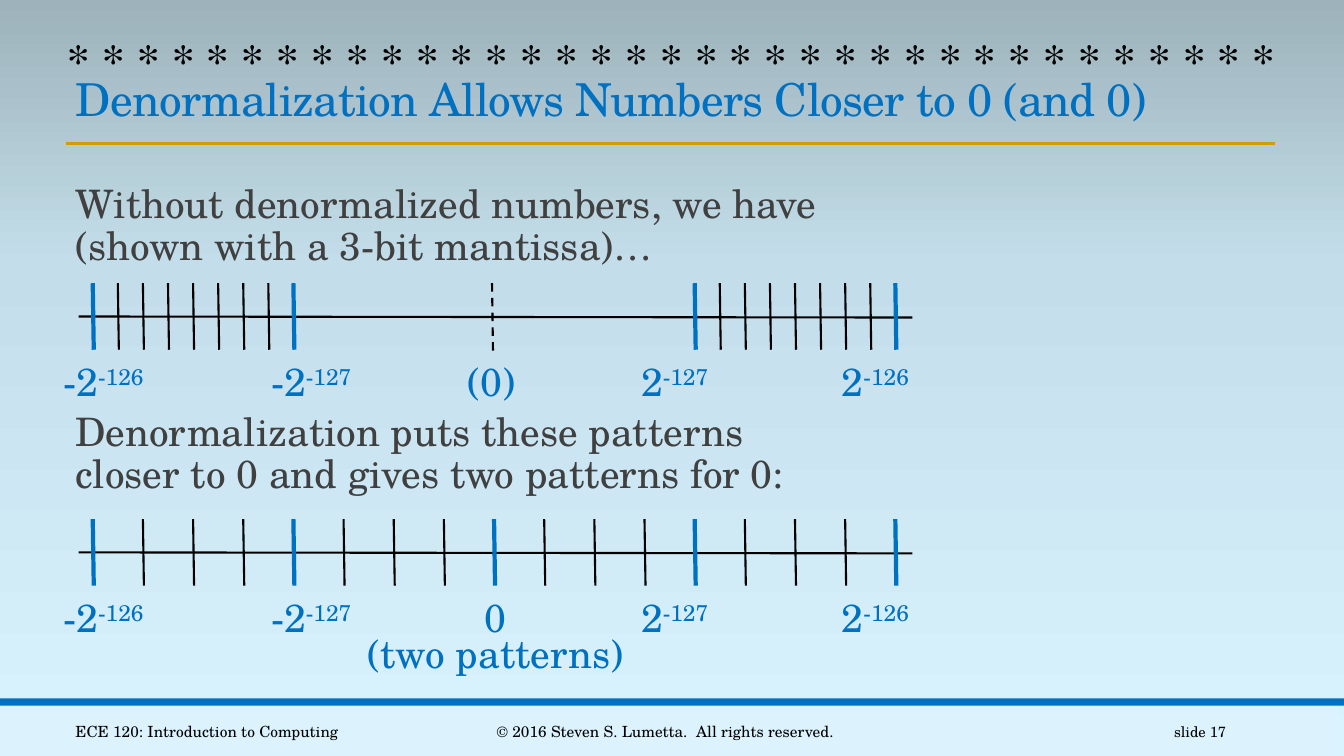
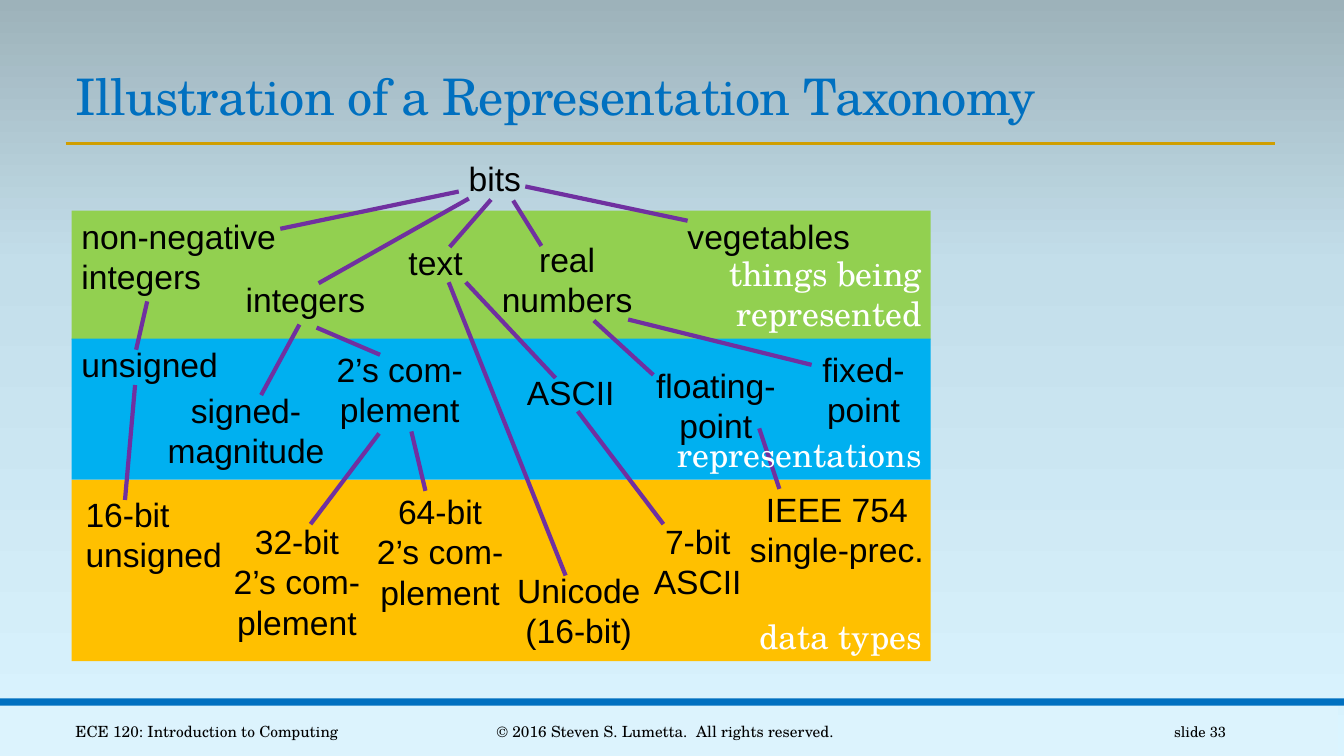
from dataclasses import dataclass

from lxml.etree import SubElement
from pptx import Presentation
from pptx.dml.color import RGBColor
from pptx.enum.dml import MSO_LINE
from pptx.enum.shapes import MSO_CONNECTOR, MSO_SHAPE
from pptx.enum.text import MSO_ANCHOR, MSO_AUTO_SIZE, PP_ALIGN
from pptx.oxml.ns import qn
from pptx.util import Pt

LEFT, CENTER, RIGHT = PP_ALIGN.LEFT, PP_ALIGN.CENTER, PP_ALIGN.RIGHT
PX = 9144  # EMU in one px, 100 px to the inch


@dataclass(frozen=True)
class Theme:
    serif: str = "TeX Gyre Schola"
    sans: str = "Arial"
    blue: str = "0070C0"
    gold: str = "D09E00"
    pale: str = "DCF3FD"
    gray: str = "404040"
    black: str = "000000"
    white: str = "FFFFFF"
    purple: str = "7030A0"
    green: str = "92D050"
    sky: str = "00B0F0"
    amber: str = "FFC000"
    backdrop: tuple = ((0, "DAF4FF"), (65, "C3DEEA"), (100, "9DB2BA"))
    body_size: float = 28
    star_size: float = 32
    node_size: float = 24
    footer_size: float = 11
    number_size: float = 10.5
    thin: float = 1.5
    rule: float = 2
    thick: float = 3


THEME = Theme()

# Shared frame: left, top, width, height
FRAME_BANDS = [((-6, 700, 1333, 50), THEME.pale), ((0, 693, 1333, 7), THEME.blue)]
TITLE_RULE = (65, 142, 1265, 142)
TITLE_BOX = (65, 59, 1201, 71)
FOOTERS = [
    ("ECE 120: Introduction to Computing", (65, 706, 325, 40), LEFT, THEME.footer_size),
    ("© 2016 Steven S. Lumetta.  All rights reserved.", (403, 706, 514, 40), CENTER, THEME.footer_size),
    ("slide {}", (1083, 706, 143, 40), RIGHT, THEME.number_size),
]

# Number lines
NUMBERS_TITLE = "Denormalization Allows Numbers Closer to 0 (and 0)"
STARS = (" ".join("*" * 35), (57, 29, 1241, 64))
STATEMENTS = [
    ("Without denormalized numbers, we have\n(shown with a 3-bit mantissa)…", (65, 178, 852, 95)),
    ("Denormalization puts these patterns\ncloser to 0 and gives two patterns for 0:", (65, 404, 852, 95)),
]
AXIS_LEFT, AXIS_RIGHT = 78, 905
FIRST_TICK, LAST_TICK, TICK_STEPS, MAJOR_STEP = 92, 888, 32, 8
TICK_HEIGHT, AXIS_DROP, LABEL_DROP, LABEL_HEIGHT = 66, 33, 69, 57
POWER_LABELS = [("-2^-126", 53, 108), ("-2^-127", 259, 108), ("2^-127", 626, 95), ("2^-126", 825, 95)]
NUMBER_LINES = [
    {"top": 281, "ticks": [*range(0, 9), *range(24, 33)], "zero": ("(0)", 454, 68)},
    {"top": 515, "ticks": range(0, 33, 2), "zero": ("0", 471, 42)},
]
MISSING_ZERO = (488, 281, 489, 350)
ZERO_NOTE = ("(two patterns)", (353, 619, 277, 57))

# Taxonomy
TAXONOMY_TITLE = "Illustration of a Representation Taxonomy"
LAYER_LEFT, LAYER_WIDTH, LABEL_RIGHT = 71, 852, 924
LAYERS = [  # top, bottom, colour, label, label width
    (209, 337, THEME.green, "things being\nrepresented", 213),
    (336, 476, THEME.sky, "representations", 264),
    (476, 656, THEME.amber, "data types", 189),
]
NODES = [  # text, left, top, width, alignment, branch leading to it
    ("bits", 455, 152, 73, LEFT, None),
    ("non-negative\nintegers", 71, 209, 215, LEFT, (455, 190, 278, 227)),
    ("integers", 233, 272, 140, CENTER, (465, 197, 316, 281)),
    ("text", 395, 235, 74, CENTER, (487, 198, 446, 245)),
    ("real\nnumbers", 487, 232, 151, CENTER, (509, 199, 537, 244)),
    ("vegetables", 671, 209, 183, CENTER, (521, 185, 682, 219)),
    ("unsigned", 71, 336, 157, LEFT, (146, 299, 135, 347)),
    ("signed-\nmagnitude", 155, 382, 178, CENTER, (297, 322, 259, 392)),
    ("2’s com-\nplement", 323, 341, 147, CENTER, (314, 325, 377, 352)),
    ("ASCII", 512, 364, 108, CENTER, (462, 280, 551, 375)),
    ("floating-\npoint", 640, 357, 140, CENTER, (589, 318, 648, 372)),
    ("fixed-\npoint", 805, 341, 103, CENTER, (623, 317, 805, 362)),
    ("16-bit\nunsigned", 75, 485, 157, LEFT, (134, 382, 124, 496)),
    ("32-bit\n2’s com-\nplement", 221, 512, 147, CENTER, (376, 430, 308, 520)),
    ("64-bit\n2’s com-\nplement", 363, 482, 147, CENTER, (408, 428, 422, 487)),
    ("Unicode\n(16-bit)", 502, 560, 144, CENTER, (445, 280, 561, 571)),
    ("7-bit\nASCII", 638, 512, 108, CENTER, (573, 408, 658, 520)),
    ("IEEE 754\nsingle-prec.", 733, 480, 194, CENTER, (753, 425, 773, 485)),
]


def emu(lengths):
    return [round(length * PX) for length in lengths]


def apply(target, values):
    for name, value in values.items():
        setattr(target, name, value)


def format_font(font, size, color, face):
    apply(font, {"size": Pt(size), "name": face, "bold": False})
    font.color.rgb = RGBColor.from_string(color)


def add_text(page, text, place, size, color, face=THEME.serif, align=LEFT,
             anchor=MSO_ANCHOR.TOP, spacing=1.0):
    """Write lines split at newlines; what follows ^ in a line is superscript."""
    frame = page.shapes.add_textbox(*emu(place)).text_frame
    apply(frame, {"word_wrap": False, "auto_size": MSO_AUTO_SIZE.NONE, "vertical_anchor": anchor})
    para = frame.paragraphs[0]
    apply(para, {"alignment": align, "line_spacing": spacing})
    for index, line in enumerate(text.split("\n")):
        if index:
            para.add_line_break()
        for level, part in enumerate(line.split("^")):
            span = para.add_run()
            span.text = part
            format_font(span.font, size, color, face)
            if level:
                span._r.get_or_add_rPr().set("baseline", "30000")


def add_band(page, place, color):
    band = page.shapes.add_shape(MSO_SHAPE.RECTANGLE, *emu(place))
    band.shadow.inherit = False
    band.fill.solid()
    band.fill.fore_color.rgb = RGBColor.from_string(color)
    band.line.fill.background()


def add_line(page, ends, color, width, dash=None):
    connector = page.shapes.add_connector(MSO_CONNECTOR.STRAIGHT, *emu(ends))
    connector.line.color.rgb = RGBColor.from_string(color)
    apply(connector.line, {"width": Pt(width), "dash_style": dash})
    SubElement(connector.element.find(qn("p:spPr")), qn("a:effectLst"))


def paint_backdrop(master):
    fill = master.background.fill
    fill.gradient()
    fill.gradient_angle = 90
    stops = master.element.find(".//" + qn("p:bg")).find(".//" + qn("a:gsLst"))
    for stop in list(stops):
        stops.remove(stop)
    for percent, color in THEME.backdrop:
        stop = SubElement(stops, qn("a:gs"), pos=str(percent * 1000))
        SubElement(stop, qn("a:srgbClr"), val=color)


def add_page(deck, title, title_size, number):
    """Add a slide with the shared bands, rule, title and footers."""
    page = deck.slides.add_slide(deck.slide_layouts[5])
    for place, color in FRAME_BANDS:
        add_band(page, place, color)
    add_line(page, TITLE_RULE, THEME.gold, THEME.rule)
    heading = page.shapes.title
    apply(heading, dict(zip(("left", "top", "width", "height"), emu(TITLE_BOX))))
    frame = heading.text_frame
    apply(frame, {"text": title, "word_wrap": True, "auto_size": MSO_AUTO_SIZE.NONE,
                  "vertical_anchor": MSO_ANCHOR.BOTTOM})
    para = frame.paragraphs[0]
    apply(para, {"alignment": LEFT, "line_spacing": 0.85})
    span = para.runs[0]
    format_font(span.font, title_size, THEME.blue, THEME.serif)
    span._r.get_or_add_rPr().set("spc", "-50")
    for text, place, align, size in FOOTERS:
        add_text(page, text.format(number), place, size, THEME.black,
                 align=align, anchor=MSO_ANCHOR.MIDDLE)
    return page


def add_number_line(page, top, ticks, zero):
    axis = top + AXIS_DROP
    add_line(page, (AXIS_LEFT, axis, AXIS_RIGHT, axis + 1), THEME.black, THEME.thin)
    gap = (LAST_TICK - FIRST_TICK) / TICK_STEPS
    for step in ticks:
        x = FIRST_TICK + step * gap
        major = step % MAJOR_STEP == 0
        add_line(page, (x, top, x + 1, top + TICK_HEIGHT),
                 THEME.blue if major else THEME.black, THEME.thick if major else THEME.thin)
    for text, left, width in [*POWER_LABELS, zero]:
        add_text(page, text, (left, top + LABEL_DROP, width, LABEL_HEIGHT),
                 THEME.body_size, THEME.blue)


def build_numbers(deck):
    page = add_page(deck, NUMBERS_TITLE, 32.4, 17)
    for text, place in STATEMENTS:
        add_text(page, text, place, THEME.body_size, THEME.gray, spacing=0.9)
    for number_line in NUMBER_LINES:
        add_number_line(page, **number_line)
    add_line(page, MISSING_ZERO, THEME.black, THEME.thin, MSO_LINE.DASH)
    add_text(page, *ZERO_NOTE, THEME.body_size, THEME.blue, align=CENTER)
    add_text(page, *STARS, THEME.star_size, THEME.black)


def text_height(text):
    return 10 + round(40.4 * len(text.split("\n")))


def build_taxonomy(deck):
    page = add_page(deck, TAXONOMY_TITLE, 36, 33)
    for top, bottom, color, _, _ in LAYERS:
        add_band(page, (LAYER_LEFT, top, LAYER_WIDTH, bottom - top), color)
    for text, left, top, width, align, branch in NODES:
        add_text(page, text, (left, top, width, text_height(text)),
                 THEME.node_size, THEME.black, THEME.sans, align)
        if branch:
            add_line(page, branch, THEME.purple, THEME.thick)
    for _, bottom, _, label, width in LAYERS:
        height = text_height(label)
        add_text(page, label, (LABEL_RIGHT - width, bottom - height, width, height),
                 THEME.node_size, THEME.white, align=RIGHT)


def main():
    deck = Presentation()
    deck.slide_width, deck.slide_height = emu((1333, 750))
    paint_backdrop(deck.slide_master)
    build_numbers(deck)
    build_taxonomy(deck)
    deck.save("out.pptx")


if __name__ == "__main__":
    main()
